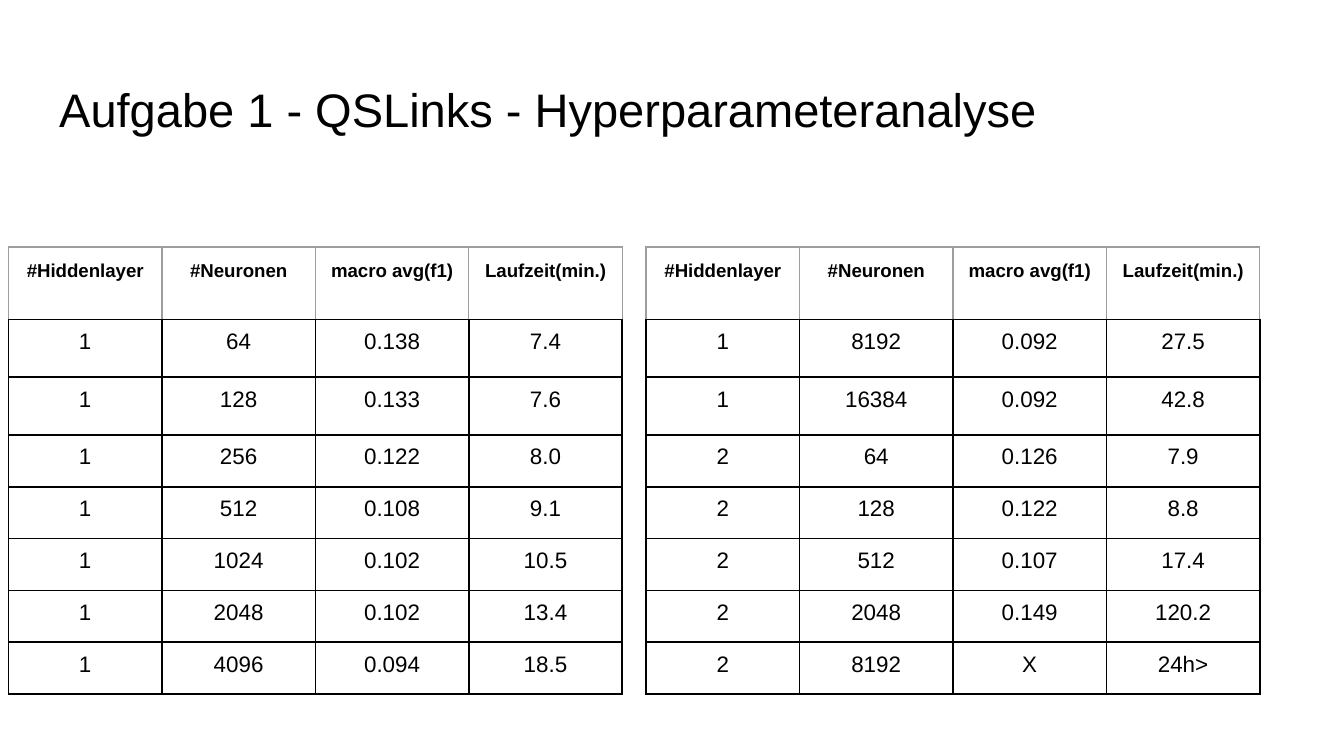
from lxml.etree import SubElement as Sub
from pptx import Presentation
from pptx.dml.color import RGBColor as RGB
from pptx.enum.text import MSO_ANCHOR as Anchor, PP_ALIGN as Align
from pptx.oxml.ns import qn
from pptx.util import Cm, Pt

BLACK, GREY = "000000", "9E9E9E"
HEAD = ["#Hiddenlayer", "#Neuronen", "macro avg(f1)", "Laufzeit(min.)"]
LEFT = [
    ["1", "64", "0.138", "7.4"],
    ["1", "128", "0.133", "7.6"],
    ["1", "256", "0.122", "8.0"],
    ["1", "512", "0.108", "9.1"],
    ["1", "1024", "0.102", "10.5"],
    ["1", "2048", "0.102", "13.4"],
    ["1", "4096", "0.094", "18.5"],
]
RIGHT = [
    ["1", "8192", "0.092", "27.5"],
    ["1", "16384", "0.092", "42.8"],
    ["2", "64", "0.126", "7.9"],
    ["2", "128", "0.122", "8.8"],
    ["2", "512", "0.107", "17.4"],
    ["2", "2048", "0.149", "120.2"],
    ["2", "8192", "X", "24h>"],
]
HIGH = [1.37] + [1.09] * 2 + [0.98] * 5
WIDE = 2.9


def add_run(par, text, size, bold=False):
    run = par.add_run()
    run.text = text
    font = run.font
    font.name, font.size, font.bold = "Arial", Pt(size), bold
    font.color.rgb = RGB.from_string(BLACK)


def add_edge(cell, side, color, width):
    """Draw one border of a cell; side is L, R, T or B."""
    line = Sub(cell._tc.get_or_add_tcPr(), qn("a:ln" + side), w=str(Pt(width)))
    fill = Sub(line, qn("a:solidFill"))
    Sub(fill, qn("a:srgbClr"), val=color)


prs = Presentation()
prs.slide_width, prs.slide_height = Cm(25.4), Cm(14.29)
slide = prs.slides.add_slide(prs.slide_layouts[6])

title = slide.shapes.add_textbox(Cm(0.87), Cm(1.24), Cm(23.67), Cm(1.6))
frame = title.text_frame
frame.word_wrap = True
frame.vertical_anchor = Anchor.BOTTOM
frame.margin_left = frame.margin_right = Cm(0.25)
frame.margin_top = frame.margin_bottom = Cm(0.25)
add_run(frame.paragraphs[0], "Aufgabe 1 - QSLinks - Hyperparameteranalyse", 25.2)

for x, body in [(0.16, LEFT), (12.21, RIGHT)]:
    rows = [HEAD] + body
    table = slide.shapes.add_table(
        len(rows), len(HEAD), Cm(x), Cm(4.67), Cm(WIDE * len(HEAD)), Cm(sum(HIGH))
    ).table
    table.first_row = table.horz_banding = False
    for col in table.columns:
        col.width = Cm(WIDE)
    for r, texts in enumerate(rows):
        table.rows[r].height = Cm(HIGH[r])
        top = r == 0
        pad = Cm(0.25 if top else 0.18)
        for c, text in enumerate(texts):
            cell = table.cell(r, c)
            cell.margin_left = cell.margin_right = pad
            cell.margin_top = cell.margin_bottom = pad
            for side in "LRTB":
                if top and side != "B":
                    add_edge(cell, side, GREY, 0.75)
                else:
                    add_edge(cell, side, BLACK, 1)
            cell.fill.background()
            par = cell.text_frame.paragraphs[0]
            par.alignment = Align.CENTER
            add_run(par, text, 10 if top else 12, top)

prs.save("out.pptx")
